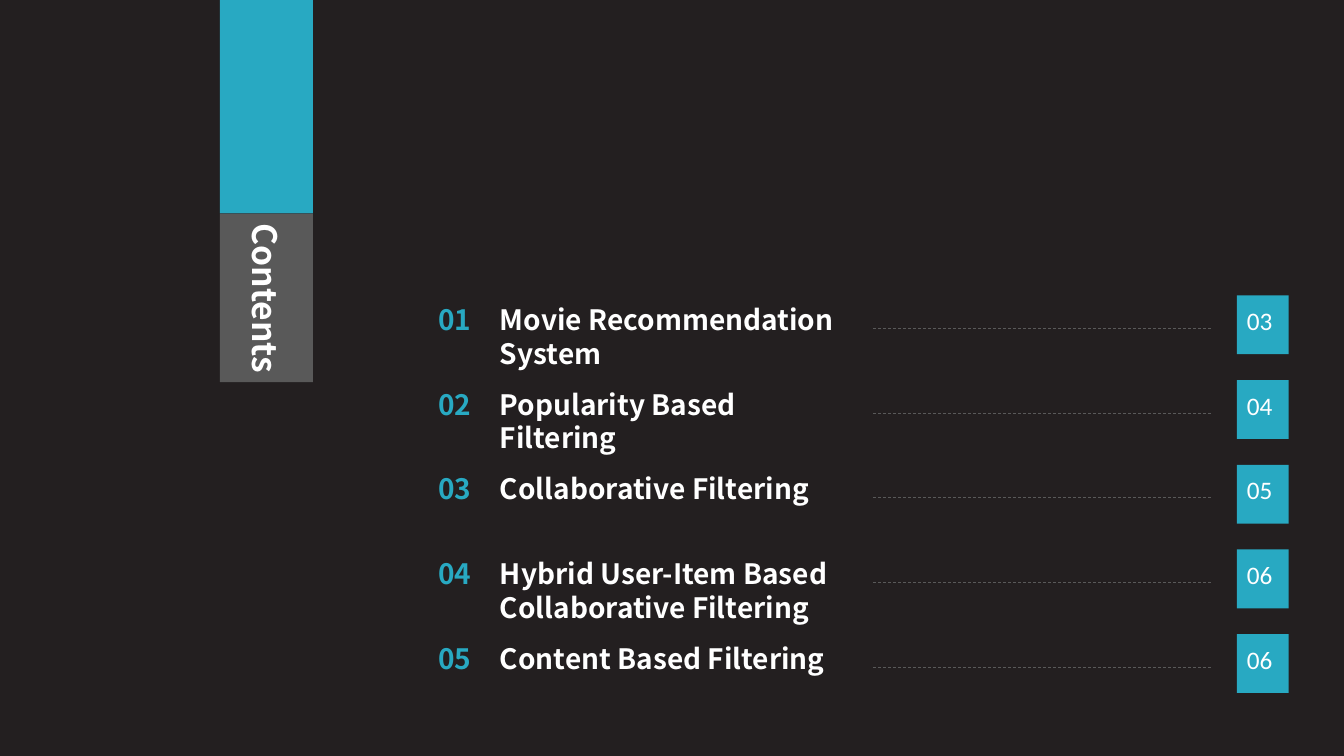
import pptx
import pptx.util
from lxml import etree
from pptx.dml.color import RGBColor
from pptx.enum.dml import MSO_LINE
from pptx.enum.shapes import MSO_CONNECTOR, MSO_SHAPE
from pptx.enum.text import MSO_ANCHOR, MSO_AUTO_SIZE, PP_ALIGN
from pptx.oxml.ns import qn

Pt = pptx.util.Pt

COLORS = {
    "background": "231F20",
    "accent": "28A9C2",
    "gray": "595959",
    "white": "FFFFFF",
}
HEADING_FONT = "Noto Sans CJK SC"
PAGE_FONT = "Calibri"

TOPICS = [
    ("01", "Movie Recommendation System", "03"),
    ("02", "Popularity Based Filtering", "04"),
    ("03", "Collaborative Filtering", "05"),
    ("04", "Hybrid User-Item Based Collaborative Filtering", "06"),
    ("05", "Content Based Filtering", "06"),
]
ROW_PITCH = 60.5


def color(name):
    return RGBColor.from_string(COLORS[name])


def add_block(slide, left, top, width, height, fill):
    block = slide.shapes.add_shape(
        MSO_SHAPE.RECTANGLE, Pt(left), Pt(top), Pt(width), Pt(height))
    block.shadow.inherit = False
    block.fill.solid()
    block.fill.fore_color.rgb = color(fill)
    block.line.fill.background()


def write(frame, text, size, font, fill, bold):
    frame.text = text
    frame.word_wrap = True
    frame.auto_size = MSO_AUTO_SIZE.NONE
    frame.vertical_anchor = MSO_ANCHOR.TOP
    line = frame.paragraphs[0]
    line.alignment = PP_ALIGN.LEFT
    letters = line.runs[0].font
    letters.size = Pt(size)
    letters.name = font
    letters.bold = bold
    letters.color.rgb = color(fill)


def add_label(slide, left, top, width, height, text, size, font, fill, bold):
    label = slide.shapes.add_textbox(Pt(left), Pt(top), Pt(width), Pt(height))
    write(label.text_frame, text, size, font, fill, bold)


def add_leader(slide, left, right, y):
    leader = slide.shapes.add_connector(
        MSO_CONNECTOR.STRAIGHT, Pt(left), Pt(y), Pt(right), Pt(y))
    leader.line.color.rgb = color("gray")
    leader.line.width = Pt(0.5)
    leader.line.dash_style = MSO_LINE.DASH
    etree.SubElement(leader.element.spPr, qn("a:effectLst"))


def add_title_banner(slide, left, top, width):
    accent_height, title_height = 152.5, 120.5
    add_block(slide, left, top, width, accent_height, "accent")
    add_block(slide, left, top + accent_height, width, title_height, "gray")

    # Title turned to read downwards, starting at the top of the gray block
    length, depth = 144, 36
    center_x = left + width / 2 - 0.5
    center_y = top + accent_height + length / 2
    title = slide.shapes.title
    title.left, title.top = Pt(center_x - length / 2), Pt(center_y - depth / 2)
    title.width, title.height = Pt(length), Pt(depth)
    title.rotation = 90
    write(title.text_frame, "Contents", 24, HEADING_FONT, "white", True)
    # Bring the title in front of the blocks
    slide.shapes.element.append(title.element)


def add_topic_row(slide, left, top, number, topic, page):
    add_label(slide, left + 44, top + 1.5, 265, 55.5, topic, 20,
              HEADING_FONT, "white", True)
    add_leader(slide, left + 317.5, left + 560, top + 23.5)
    add_block(slide, left + 577.5, top, 37, 42, "accent")
    add_label(slide, left + 577.5, top + 3.5, 47, 29, page, 18,
              PAGE_FONT, "white", False)
    add_label(slide, left, top + 1.5, 48, 31.5, number, 20,
              HEADING_FONT, "accent", True)


def add_contents_slide(deck):
    slide = deck.slides.add_slide(deck.slide_layouts[5])
    slide.background.fill.solid()
    slide.background.fill.fore_color.rgb = color("background")
    add_title_banner(slide, 157, 0, 66.5)
    for row, (number, topic, page) in enumerate(TOPICS):
        add_topic_row(slide, 306, 211 + row * ROW_PITCH, number, topic, page)


def main():
    deck = pptx.Presentation()
    deck.slide_width, deck.slide_height = Pt(960), Pt(540)
    add_contents_slide(deck)
    deck.save("out.pptx")


if __name__ == "__main__":
    main()
